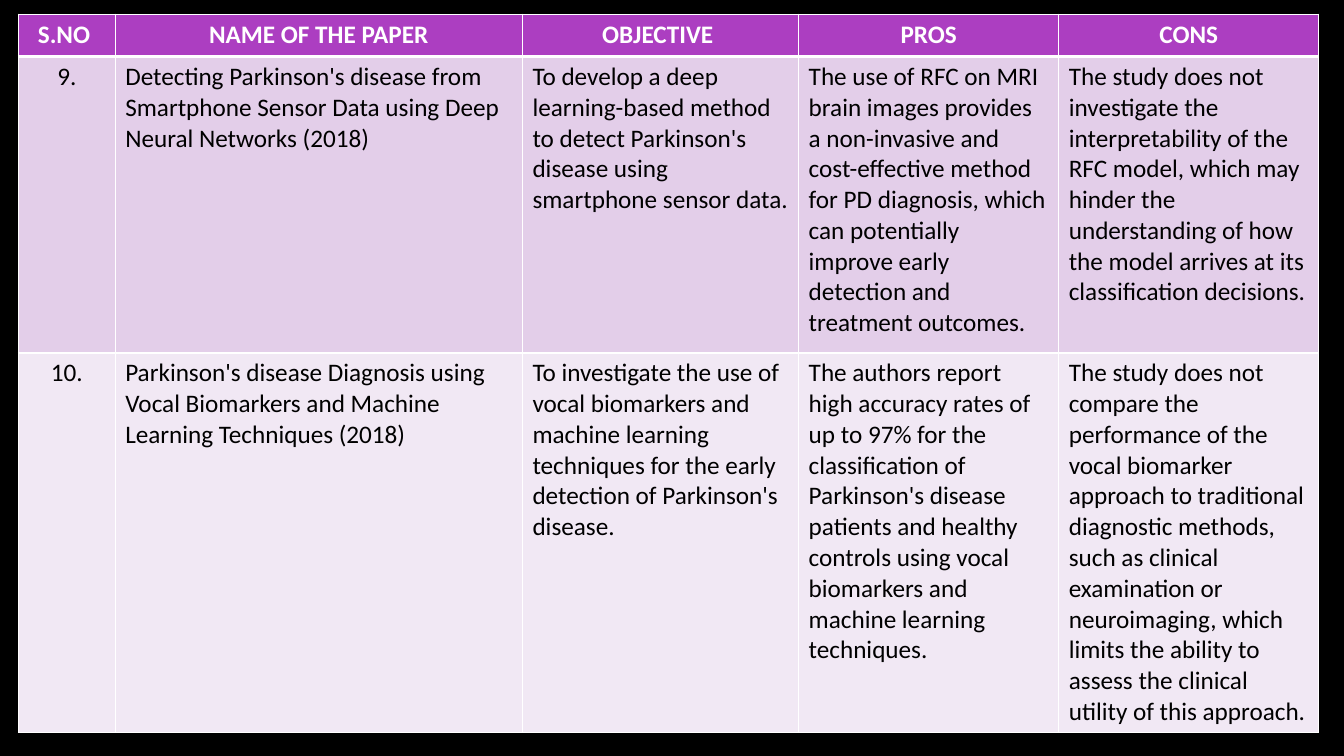
"""Build a literature survey slide with a table of two papers."""
import pptx
import pptx.dml.color
import pptx.enum.text
import pptx.oxml
import pptx.oxml.ns
import pptx.util

Pt = pptx.util.Pt
ALIGN = pptx.enum.text.PP_ALIGN

HEADINGS = ["S.NO ", "NAME OF THE PAPER", "OBJECTIVE ", "PROS", "CONS"]
PAPERS = [
    [
        "9.",
        "Detecting Parkinson's disease from Smartphone Sensor Data using Deep Neural Networks (2018)",
        "To develop a deep learning-based method to detect Parkinson's disease using smartphone sensor data.",
        "The use of RFC on MRI brain images provides a non-invasive and cost-effective method for PD "
        "diagnosis, which can potentially improve early detection and treatment outcomes.",
        "The study does not investigate the interpretability of the RFC model, which may hinder the "
        "understanding of how the model arrives at its classification decisions.",
    ],
    [
        "10.",
        "Parkinson's disease Diagnosis using Vocal Biomarkers and Machine Learning Techniques (2018)",
        "To investigate the use of vocal biomarkers and machine learning techniques for the early "
        "detection of Parkinson's disease.",
        "The authors report high accuracy rates of up to 97% for the classification of Parkinson's disease "
        "patients and healthy controls using vocal biomarkers and machine learning techniques.",
        "The study does not compare the performance of the vocal biomarker approach to traditional "
        "diagnostic methods, such as clinical examination or neuroimaging, which limits the ability to "
        "assess the clinical utility of this approach.",
    ],
]
COLUMN_WIDTHS = [69.1, 290.9, 197.3, 185.8, 185.8]
ROW_HEIGHTS = [30.2, 211.7, 235.4]
ROW_FILLS = ["AC3EC1", "E3CEE9", "F1E8F4"]
SURVEY_LEFT, SURVEY_TOP, SURVEY_HEIGHT = 13.2, 10.2, 519.8


def paint(fill, color):
    fill.solid()
    fill.fore_color.rgb = pptx.dml.color.RGBColor.from_string(color)


def write(cell, text, color="000000", bold=False, align=ALIGN.LEFT):
    paragraph = cell.text_frame.paragraphs[0]
    paragraph.alignment = align
    run = paragraph.add_run()
    run.text = text
    run.font.name, run.font.size, run.font.bold = "Calibri", Pt(18), bold
    paint(run.font.fill, color)


def draw_borders(cell, widths, color="FFFFFF"):
    properties = cell._tc.get_or_add_tcPr()
    for position, (side, width) in enumerate(widths.items()):
        border = pptx.oxml.parse_xml(
            f'<a:ln{side} {pptx.oxml.ns.nsdecls("a")} w="{Pt(width)}"><a:solidFill>'
            f'<a:srgbClr val="{color}"/></a:solidFill></a:ln{side}>')
        properties.insert(position, border)


def main():
    deck = pptx.Presentation()
    deck.slide_width, deck.slide_height = Pt(960), Pt(540)
    slide = deck.slides.add_slide(deck.slide_layouts[6])
    paint(slide.background.fill, "000000")

    rows = [HEADINGS, *PAPERS]
    frame = slide.shapes.add_table(
        len(rows), len(HEADINGS), Pt(SURVEY_LEFT), Pt(SURVEY_TOP),
        Pt(sum(COLUMN_WIDTHS)), Pt(SURVEY_HEIGHT))
    survey = frame.table
    for column, width in zip(survey.columns, COLUMN_WIDTHS):
        column.width = Pt(width)
    for row, height in zip(survey.rows, ROW_HEIGHTS):
        row.height = Pt(height)
    frame.height = Pt(SURVEY_HEIGHT)

    for r, texts in enumerate(rows):
        heading = r == 0
        for c, text in enumerate(texts):
            cell = survey.cell(r, c)
            paint(cell.fill, ROW_FILLS[r])
            write(cell, text, color="FFFFFF" if heading else "000000", bold=heading,
                  align=ALIGN.CENTER if heading or c == 0 else ALIGN.LEFT)
            draw_borders(cell, {"L": 1, "R": 1, "T": 3 if r == 1 else 1, "B": 3 if heading else 1})

    deck.save("out.pptx")


if __name__ == "__main__":
    main()
